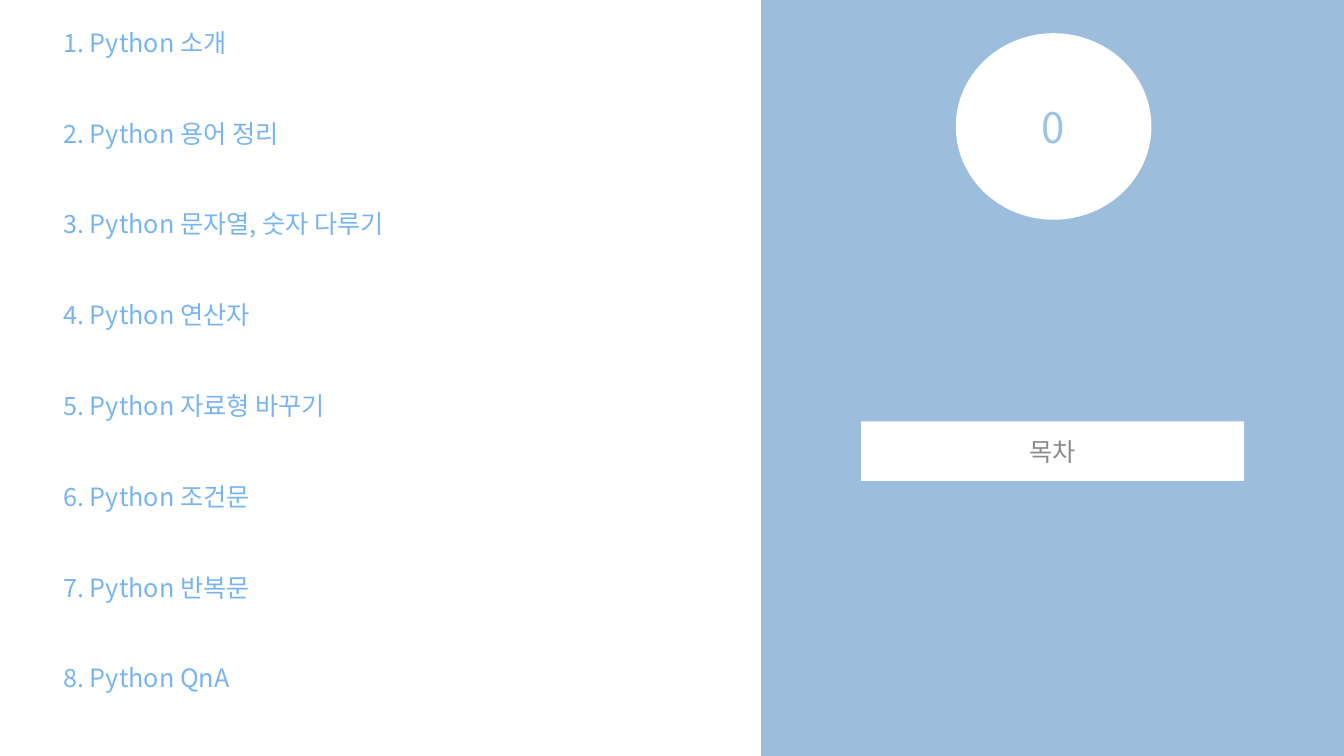
from lxml.etree import SubElement
from pptx import Presentation
from pptx.dml.color import RGBColor
from pptx.enum.shapes import MSO_SHAPE as Shape
from pptx.enum.text import MSO_ANCHOR as Anchor, MSO_AUTO_SIZE as AutoSize, PP_ALIGN as Align
from pptx.oxml.ns import qn
from pptx.util import Inches, Pt

WHITE = RGBColor(0xFF, 0xFF, 0xFF)
BLACK = RGBColor(0, 0, 0)
PANEL_BLUE = RGBColor(0x2E, 0x75, 0xB6)
NUMBER_BLUE = RGBColor(0x9C, 0xC3, 0xE6)
LIST_BLUE = RGBColor(0x79, 0xB4, 0xF2)
FONT = "Noto Sans CJK KR"
TOPICS = ["소개", "용어 정리", "문자열, 숫자 다루기", "연산자",
          "자료형 바꾸기", "조건문", "반복문", "QnA"]


def paint(fill, color, opacity=100):
    fill.solid()
    fill.fore_color.rgb = color
    if opacity < 100:
        node = fill._xPr.find(qn("a:solidFill"))[0]
        SubElement(node, qn("a:alpha")).set("val", str(opacity * 1000))


def write(frame, lines, size=18, color=BLACK, opacity=100,
          align=Align.CENTER, anchor=Anchor.MIDDLE, gap=0):
    frame.word_wrap = True
    frame.auto_size = AutoSize.NONE
    frame.vertical_anchor = anchor
    for index, line in enumerate(lines):
        para = frame.add_paragraph() if index else frame.paragraphs[0]
        para.alignment = align
        para.space_before = Pt(gap if index else 0)
        span = para.add_run()
        span.text = line
        span.font.size = Pt(size)
        span.font.name = FONT
        paint(span.font.fill, color, opacity)
        SubElement(span.font._element, qn("a:ea")).set("typeface", FONT)


deck = Presentation()
deck.slide_width, deck.slide_height = Inches(13.33), Inches(7.5)
page = deck.slides.add_slide(deck.slide_layouts[5])

panel = page.shapes.add_shape(
    Shape.RECTANGLE, Inches(7.55), Inches(-0.05), Inches(5.79), Inches(7.62))
panel.shadow.inherit = False
panel.line.fill.background()
paint(panel.fill, PANEL_BLUE, 47)

circle = page.shapes.add_shape(
    Shape.OVAL, Inches(9.48), Inches(0.33), Inches(1.94), Inches(1.85))
circle.shadow.inherit = False
circle.line.fill.background()
paint(circle.fill, WHITE)
write(circle.text_frame, ["0"], size=30, color=NUMBER_BLUE)

title = page.shapes.title
title.left, title.top = Inches(8.54), Inches(4.18)
title.width, title.height = Inches(3.8), Inches(0.59)
paint(title.fill, WHITE)
write(title.text_frame, ["목차"], opacity=46)
panel.element.getparent().append(title.element)

contents = page.shapes.add_shape(
    Shape.RECTANGLE, Inches(0.53), Inches(0.22), Inches(6.28), Inches(7.07))
contents.shadow.inherit = False
contents.fill.background()
contents.line.color.rgb = WHITE
contents.line.width = Pt(0)
write(contents.text_frame,
      [f"{number}. Python {topic}" for number, topic in enumerate(TOPICS, 1)],
      color=LIST_BLUE, align=Align.LEFT, anchor=Anchor.TOP, gap=43.25)

deck.save("out.pptx")
